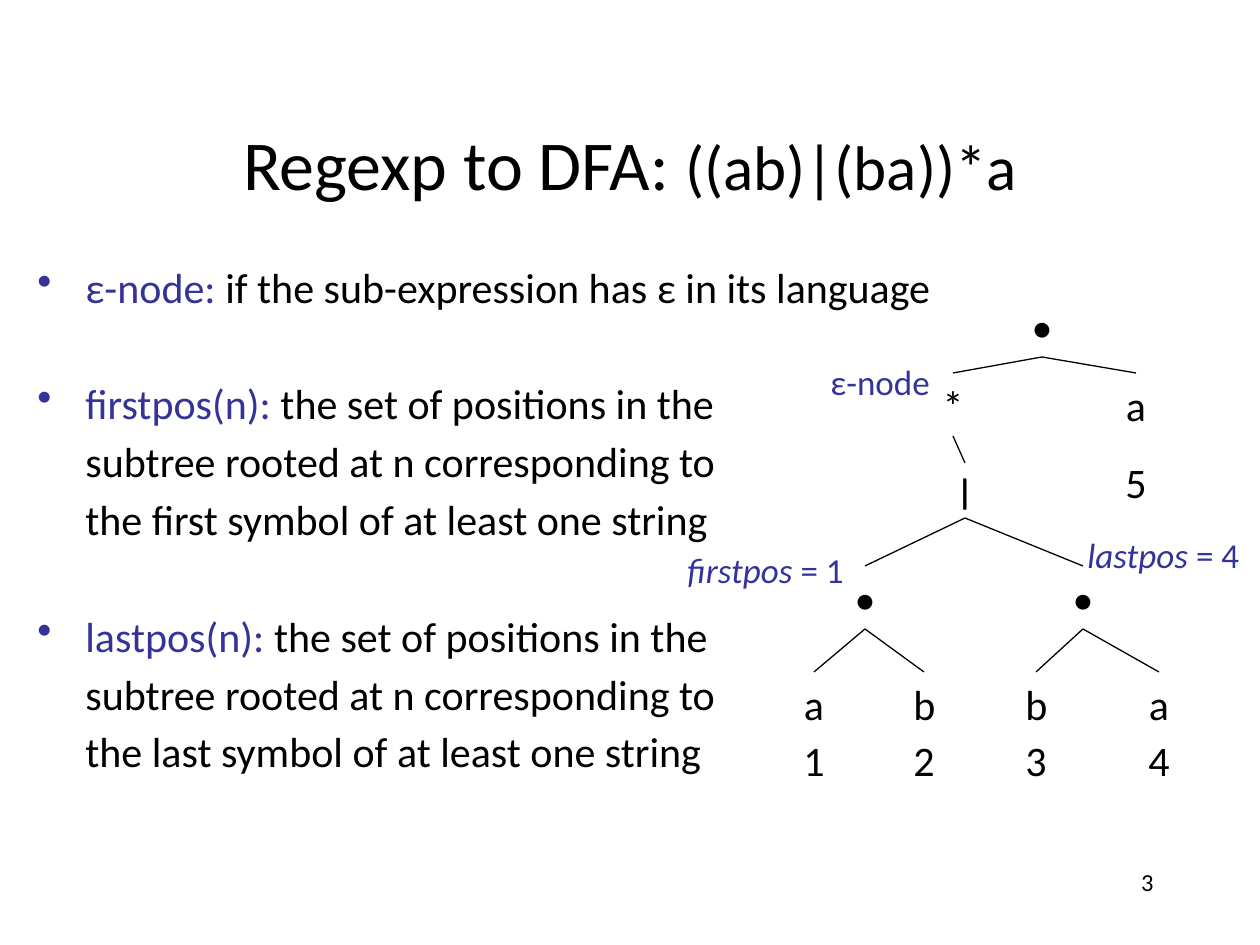
from typing import NamedTuple

from lxml.etree import SubElement
from pptx import Presentation
from pptx.dml.color import RGBColor as Rgb
from pptx.enum.shapes import MSO_CONNECTOR as Link
from pptx.enum.text import MSO_ANCHOR as Anchor, MSO_AUTO_SIZE as Auto, PP_ALIGN as Align
from pptx.oxml.ns import qn
from pptx.util import Emu, Pt

COLORS = {"ink": "000000", "blue": "333399"}
FONT = "Calibri"
SCALE = 914400 / 126
INDENT = 48


class Run(NamedTuple):
    text: str
    size: int = 24
    color: str = "ink"
    bold: bool = False
    italic: bool = False


class Box(NamedTuple):
    left: int
    top: int
    width: int
    height: int


class Node(NamedTuple):
    mid: int
    top: int
    run: Run
    height: int = 63


class Note(NamedTuple):
    box: Box
    runs: list[Run]


class Item(NamedTuple):
    term: str
    lines: list[str]


NODES = {
    "root": Node(1042, 294, Run("•")),
    "star": Node(953, 373, Run("*")),
    "or": Node(965, 463, Run("|", 20, bold=True), 55),
    "left": Node(865, 566, Run("•")),
    "right": Node(1083, 566, Run("•")),
    "a5": Node(1136, 373, Run("a")),
    "5": Node(1136, 450, Run("5")),
}
LEAVES = [("a", 814), ("b", 924), ("b", 1036), ("a", 1159)]
for num, (sign, mid) in enumerate(LEAVES, 1):
    NODES[f"{sign}{num}"] = Node(mid, 672, Run(sign))
    NODES[str(num)] = Node(mid, 728, Run(str(num)))

EDGES = [
    ("root", "star"), ("root", "a5"), ("star", "or"),
    ("or", "left"), ("or", "right"),
    ("left", "a1"), ("left", "b2"), ("right", "b3"), ("right", "a4"),
]
NOTES = [
    Note(Box(818, 354, 125, 55), [Run("ε-node", 20, "blue")]),
    Note(Box(675, 542, 190, 55), [Run("firstpos ", 20, "blue", italic=True), Run("= 1", 20, "blue")]),
    Note(Box(1075, 527, 184, 55), [Run("lastpos ", 20, "blue", italic=True), Run("= 4", 20, "blue")]),
]
ITEMS = [
    Item("ε-node: ", ["if the sub-expression has ε in its language"]),
    Item("firstpos(n): ", [
        "the set of positions in the",
        "subtree rooted at n corresponding to",
        "the first symbol of at least one string",
    ]),
    Item("lastpos(n): ", [
        "the set of positions in the",
        "subtree rooted at n corresponding to",
        "the last symbol of at least one string",
    ]),
]


def px(num: int) -> Emu:
    """Turn px into EMU."""
    return Emu(round(num * SCALE))


def add_runs(para, runs: list[Run]) -> None:
    """Add styled runs to a paragraph."""
    for part in runs:
        run = para.add_run()
        run.text = part.text
        font = run.font
        font.name, font.size = FONT, Pt(part.size)
        font.bold, font.italic = part.bold, part.italic
        font.color.rgb = Rgb.from_string(COLORS[part.color])


def add_text(slide, box: Box, runs: list[Run], align=Align.LEFT, wrap: bool = True):
    """Add a text box with one paragraph."""
    shape = slide.shapes.add_textbox(*map(px, box))
    frame = shape.text_frame
    frame.word_wrap = wrap
    frame.auto_size = Auto.NONE if wrap else Auto.SHAPE_TO_FIT_TEXT
    frame.paragraphs[0].alignment = align
    add_runs(frame.paragraphs[0], runs)
    return shape


def add_node(slide, node: Node):
    """Add a tree symbol centred on its mid line."""
    box = Box(node.mid - 23, node.top, 46, node.height)
    return add_text(slide, box, [node.run], Align.CENTER, False)


def add_edge(slide, start, end) -> None:
    """Join the bottom of one symbol to the top of another."""
    line = slide.shapes.add_connector(Link.STRAIGHT, 0, 0, 0, 0)
    line.begin_connect(start, 2)
    line.end_connect(end, 0)
    line.line.width = Pt(0.75)
    line.line.color.rgb = Rgb.from_string(COLORS["ink"])
    SubElement(line._element.spPr, qn("a:effectLst"))


def set_bullet(para, on: bool) -> None:
    """Indent a paragraph, with a hanging bullet on request."""
    props = para._p.get_or_add_pPr()
    props.set("marL", str(px(INDENT)))
    props.set("indent", str(-px(INDENT) if on else 0))
    if on:
        SubElement(props, qn("a:buChar"), char="•")
    else:
        SubElement(props, qn("a:buNone"))


def add_list(slide, box: Box, items: list[Item]) -> None:
    """Add the bulleted terms with their lines."""
    frame = slide.shapes.add_textbox(*map(px, box)).text_frame
    frame.word_wrap = True
    for rank, item in enumerate(items):
        for row, text in enumerate(item.lines):
            first = rank == row == 0
            para = frame.paragraphs[0] if first else frame.add_paragraph()
            set_bullet(para, row == 0)
            if not first:
                para.space_before = Pt(4.3 if row else 37.8)
            term = [] if row else [Run(item.term, color="blue")]
            add_runs(para, [*term, Run(text)])


def main() -> None:
    """Build the slide."""
    deck = Presentation()
    deck.slide_width, deck.slide_height = px(1260), px(945)
    slide = deck.slides.add_slide(deck.slide_layouts[6])
    title = [Run("Regexp to DFA: ", 40), Run("((ab)|(ba))*a", 36)]
    head = add_text(slide, Box(94, 84, 1072, 158), title, Align.CENTER)
    head.text_frame.vertical_anchor = Anchor.MIDDLE
    add_list(slide, Box(25, 255, 1071, 567), ITEMS)
    nodes = {name: add_node(slide, node) for name, node in NODES.items()}
    for start, end in EDGES:
        add_edge(slide, nodes[start], nodes[end])
    for note in NOTES:
        add_text(slide, note.box, note.runs, wrap=False)
    add_text(slide, Box(903, 861, 263, 63), [Run("3", 14)], Align.RIGHT)
    deck.save("out.pptx")


if __name__ == "__main__":
    main()
